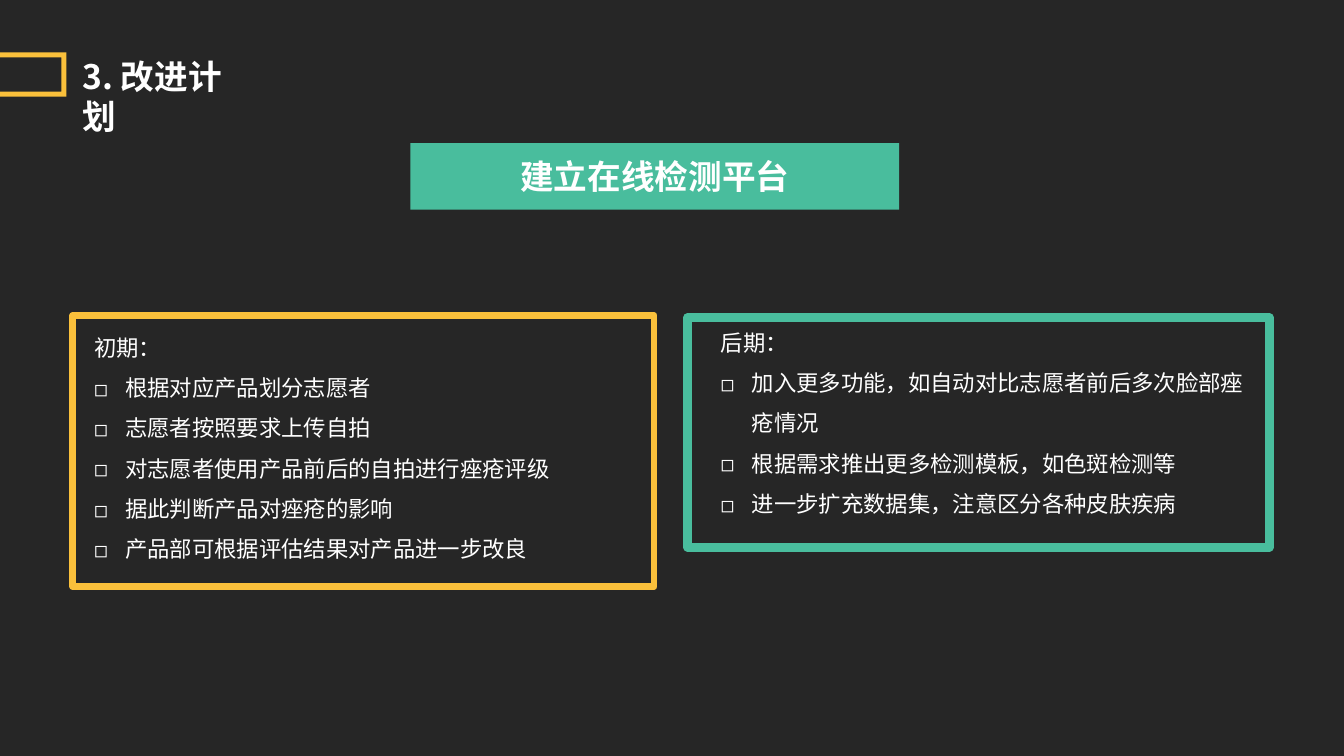
from lxml.etree import SubElement
from pptx import Presentation
from pptx.dml.color import RGBColor
from pptx.enum.shapes import MSO_SHAPE
from pptx.enum.text import PP_ALIGN
from pptx.oxml.ns import qn
from pptx.util import Inches, Pt

W, H = Inches(13.33), Inches(7.5)
FONT = "Noto Sans CJK SC"
DARK, WHITE, YELLOW, GREEN = "262626", "FFFFFF", "FAC03B", "49BD9D"
EARLY = ["根据对应产品划分志愿者", "志愿者按照要求上传自拍", "对志愿者使用产品前后的自拍进行痤疮评级",
         "据此判断产品对痤疮的影响", "产品部可根据评估结果对产品进一步改良"]
LATE = ["加入更多功能，如自动对比志愿者前后多次脸部痤疮情况",
        "根据需求推出更多检测模板，如色斑检测等", "进一步扩充数据集，注意区分各种皮肤疾病"]


def rgb(value):
    """Turn a hex string into a colour."""
    return RGBColor.from_string(value)


def area(x, y, w, h):
    """Turn percentages of the slide into a box."""
    return int(W * x / 100), int(H * y / 100), int(W * w / 100), int(H * h / 100)


def inside(box, x, y, w, h):
    """Return the part of a box given by shares of its size."""
    left, top, width, height = box
    return int(left + width * x), int(top + height * y), int(width * w), int(height * h)


def add_bullet(p):
    """Give a paragraph a hanging square bullet."""
    pPr = p._p.get_or_add_pPr()
    pPr.set("marL", str(Inches(0.31)))
    pPr.set("indent", str(-Inches(0.31)))
    SubElement(pPr, qn("a:buFont")).set("typeface", FONT)
    SubElement(pPr, qn("a:buChar")).set("char", "◻")


def add_text(s, box, lines, size=16, bold=False, align=PP_ALIGN.LEFT, spacing=1.0, bullets=False):
    """Write lines in a text box, with bullets after the first line if asked."""
    tf = s.shapes.add_textbox(*box).text_frame
    tf.word_wrap = True
    for i, line in enumerate(lines):
        p = tf.paragraphs[0] if i == 0 else tf.add_paragraph()
        p.alignment, p.line_spacing = align, spacing
        if bullets and i:
            add_bullet(p)
        r = p.add_run()
        r.text = line
        r.font.size, r.font.bold, r.font.name = Pt(size), bold, FONT
        r.font.color.rgb = rgb(WHITE)
        SubElement(r._r.get_or_add_rPr(), qn("a:ea")).set("typeface", FONT)


def add_rect(s, box, fill=None, line=None, weight=0):
    """Draw a rectangle, filled or outlined."""
    sp = s.shapes.add_shape(MSO_SHAPE.RECTANGLE, *box)
    sp.shadow.inherit = False
    if fill:
        sp.fill.solid()
        sp.fill.fore_color.rgb = rgb(fill)
    else:
        sp.fill.background()
    if line:
        sp.line.color.rgb = rgb(line)
        sp.line.width = Pt(weight)
    else:
        sp.line.fill.background()


def add_bracket(s, box, color):
    """Draw a bracket that opens to the left."""
    x, y, w, h = box
    t = Inches(0.05)
    fb = s.shapes.build_freeform(x, y)
    fb.add_line_segments([(x + w, y), (x + w, y + h), (x, y + h), (x, y + h - t),
                          (x + w - t, y + h - t), (x + w - t, y + t), (x, y + t)])
    sp = fb.convert_to_shape()
    sp.shadow.inherit = False
    sp.fill.solid()
    sp.fill.fore_color.rgb = rgb(color)
    sp.line.fill.background()


def add_banner(s, box, text):
    """Draw the filled banner with its centred heading."""
    add_rect(s, box, fill=GREEN)
    add_text(s, inside(box, 0.2, 0.12, 0.6, 0.76), [text], size=24, bold=True, align=PP_ALIGN.CENTER)


def add_panel(s, box, text_share, color, weight, heading, items):
    """Draw a framed panel with a heading and bulleted items."""
    add_rect(s, box, line=color, weight=weight)
    add_text(s, inside(box, *text_share), [heading, *items], spacing=1.5, bullets=True)


def build_plan(prs):
    """Build the improvement plan slide."""
    s = prs.slides.add_slide(prs.slide_layouts[6])
    s.background.fill.solid()
    s.background.fill.fore_color.rgb = rgb(DARK)
    add_bracket(s, area(0, 6.93, 4.95, 5.87), YELLOW)
    add_text(s, area(5.4, 6.67, 13.9, 6.67), ["3. 改进计划"], size=24, bold=True)
    add_banner(s, area(30.53, 18.93, 36.38, 8.8), "建立在线检测平台")
    add_panel(s, area(5.4, 41.73, 43.29, 35.87), (0.02, 0, 0.96, 1), YELLOW, 4.5, "初期：", EARLY)
    add_panel(s, area(51.16, 42, 43.29, 30.4), (0.04, -0.03, 0.94, 0.97), GREEN, 6, "后期：", LATE)


def main():
    """Create and save the presentation."""
    prs = Presentation()
    prs.slide_width, prs.slide_height = W, H
    build_plan(prs)
    prs.save("out.pptx")


if __name__ == "__main__":
    main()
